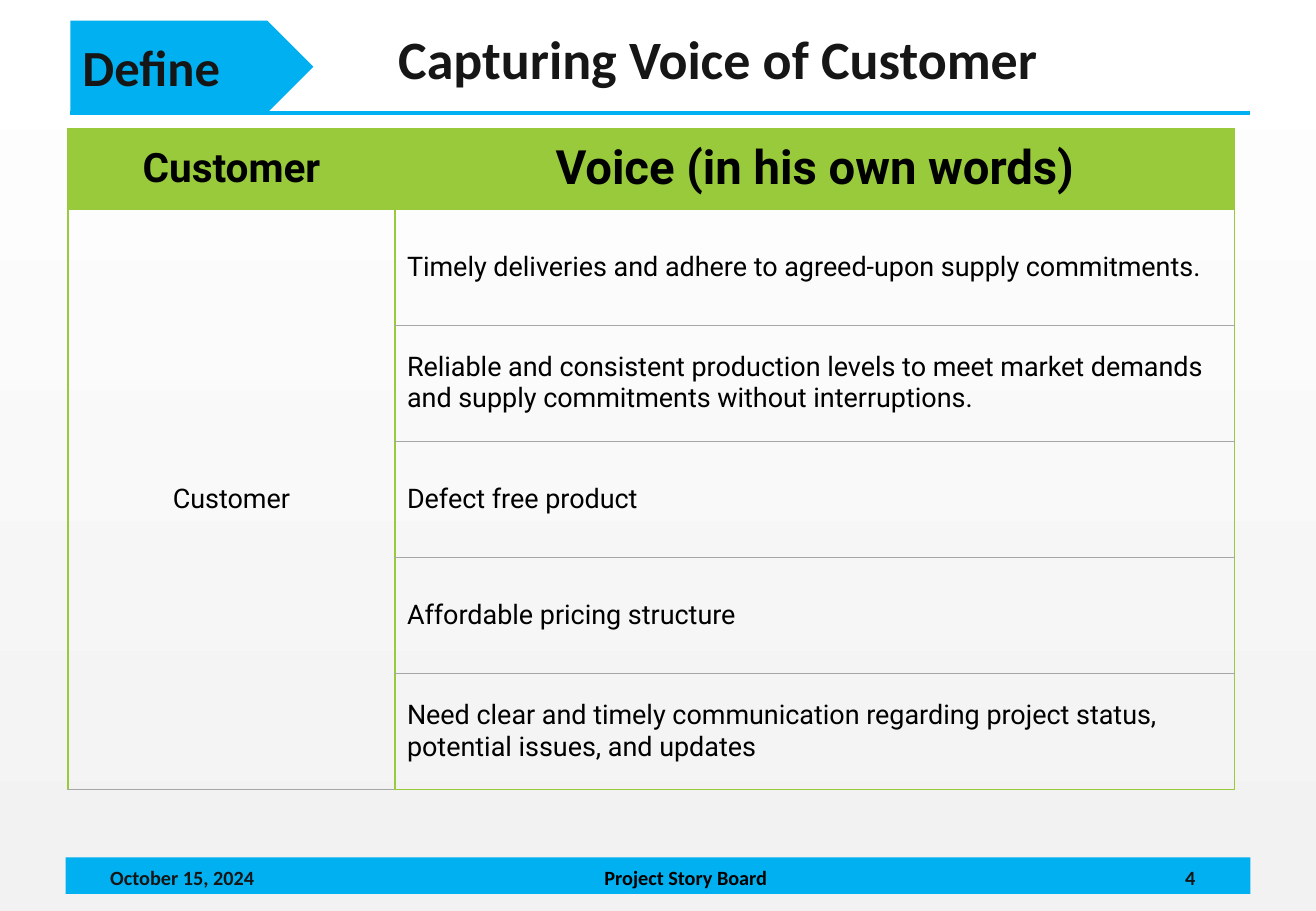
from lxml.etree import SubElement
from pptx import Presentation
from pptx.dml.color import RGBColor
from pptx.enum.shapes import MSO_CONNECTOR, MSO_SHAPE
from pptx.enum.text import MSO_ANCHOR, PP_ALIGN
from pptx.oxml.ns import qn
from pptx.util import Inches, Pt

BLUE = RGBColor(0x00, 0xB0, 0xF0)
GREEN = RGBColor(0x98, 0xCA, 0x3C)
GRAY = RGBColor(0xA6, 0xA6, 0xA6)
BLACK = RGBColor(0x00, 0x00, 0x00)
INK = RGBColor(0x16, 0x16, 0x16)
WHITE = RGBColor(0xFF, 0xFF, 0xFF)
PALE = RGBColor(0xF2, 0xF2, 0xF2)

VOICES = [
    "Timely deliveries and adhere to agreed-upon supply commitments.",
    "Reliable and consistent production levels to meet market demands "
    "and supply commitments without interruptions.",
    "Defect free product",
    "Affordable pricing structure",
    "Need clear and timely communication regarding project status, "
    "potential issues, and updates",
]


def write(frame, text, size, color=INK, font="Calibri", bold=True, align=PP_ALIGN.CENTER):
    """Put one formatted run into a text frame."""
    paragraph = frame.paragraphs[0]
    paragraph.alignment = align
    run = paragraph.add_run()
    run.text = text
    run.font.name = font
    run.font.size = Pt(size)
    run.font.bold = bold
    run.font.color.rgb = color


def add_label(slide, left, top, width, height, text, size, color=INK):
    """Add a centred bold label without insets."""
    frame = slide.shapes.add_textbox(
        Inches(left), Inches(top), Inches(width), Inches(height)).text_frame
    frame.word_wrap = True
    frame.vertical_anchor = MSO_ANCHOR.MIDDLE
    frame.margin_left = frame.margin_right = frame.margin_top = frame.margin_bottom = 0
    write(frame, text, size, color)


def add_block(slide, preset, left, top, width, height):
    """Add a flat blue shape."""
    shape = slide.shapes.add_shape(
        preset, Inches(left), Inches(top), Inches(width), Inches(height))
    shape.shadow.inherit = False
    shape.fill.solid()
    shape.fill.fore_color.rgb = BLUE
    shape.line.fill.background()
    return shape


def set_border(cell, side, color, width):
    """Draw one side of a cell."""
    properties = cell._tc.get_or_add_tcPr()
    line = SubElement(properties, qn(f"a:ln{side}"), w=str(Pt(width)))
    fill = SubElement(line, qn("a:solidFill"))
    SubElement(fill, qn("a:srgbClr"), val=str(color))


def add_background(slide):
    """Fill the slide with a vertical gradient."""
    fill = slide.background.fill
    fill.gradient()
    fill.gradient_angle = 270
    for stop, color in zip(fill.gradient_stops, (WHITE, PALE)):
        stop.color.rgb = color


def add_header(slide, left, top, width, height):
    """Add the phase arrow, the title and the rule below them."""
    phase = add_block(slide, MSO_SHAPE.PENTAGON, left, top, 2, height)
    phase.text_frame.vertical_anchor = MSO_ANCHOR.MIDDLE
    write(phase.text_frame, "Define", 30, align=PP_ALIGN.LEFT)
    add_label(slide, left + 1.92, top + 0.01, 6.82, 0.6, "Capturing Voice of Customer", 32)
    bottom = Inches(top + height)
    rule = slide.shapes.add_connector(
        MSO_CONNECTOR.STRAIGHT, Inches(left), bottom, Inches(left + width), bottom)
    rule.line.color.rgb = BLUE
    rule.line.width = Pt(2.25)
    SubElement(rule._element.spPr, qn("a:effectLst"))


def add_voice_table(slide, left, top, width, height):
    """Add the table of customer voices."""
    header_height, customer_width = 0.66, 2.69
    last = len(VOICES)
    table = slide.shapes.add_table(
        last + 1, 2, Inches(left), Inches(top), Inches(width), Inches(height)).table
    table.first_row = table.horz_banding = False
    table.columns[0].width = Inches(customer_width)
    table.columns[1].width = Inches(width - customer_width)
    for index, row in enumerate(table.rows):
        row.height = Inches((height - header_height) / last if index else header_height)
        for cell in row.cells:
            cell.vertical_anchor = MSO_ANCHOR.MIDDLE
            for side in "LR":
                set_border(cell, side, GREEN, 1)
            for side, outer in (("T", index <= 1), ("B", index in (0, last))):
                set_border(cell, side, GREEN if outer else GRAY, 1 if outer else 0.5)
            if index:
                cell.fill.background()
            else:
                cell.fill.solid()
                cell.fill.fore_color.rgb = GREEN
    table.cell(1, 0).merge(table.cell(last, 0))
    write(table.cell(0, 0).text_frame, "Customer", 24, BLACK, "Roboto")
    write(table.cell(0, 1).text_frame, "Voice (in his own words)", 28, BLACK, "Roboto")
    write(table.cell(1, 0).text_frame, "Customer", 16, BLACK, "Roboto", False)
    for index, voice in enumerate(VOICES, 1):
        write(table.cell(index, 1).text_frame, voice, 16, BLACK, "Roboto", False, PP_ALIGN.LEFT)


def add_footer(slide, left, top, width, height):
    """Add the footer bar with date, project name and page number."""
    add_block(slide, MSO_SHAPE.RECTANGLE, left, top, width, height)
    add_label(slide, left + 0.21, top + 0.01, 1.5, height, "October 15, 2024", 12)
    add_label(slide, left + 3.19, top + 0.01, 3.83, height, "Project Story Board", 12, BLACK)
    add_label(slide, left + 8.98, top + 0.01, 0.55, height, "4", 12)


def main():
    """Build and save the slide."""
    presentation = Presentation()
    presentation.slide_width = Inches(10.83)
    presentation.slide_height = Inches(7.5)
    slide = presentation.slides.add_slide(presentation.slide_layouts[6])
    add_background(slide)
    add_footer(slide, 0.54, 7.06, 9.75, 0.3)
    add_header(slide, 0.58, 0.17, 9.71, 0.76)
    add_voice_table(slide, 0.56, 1.06, 9.6, 5.44)
    presentation.save("out.pptx")


if __name__ == "__main__":
    main()
